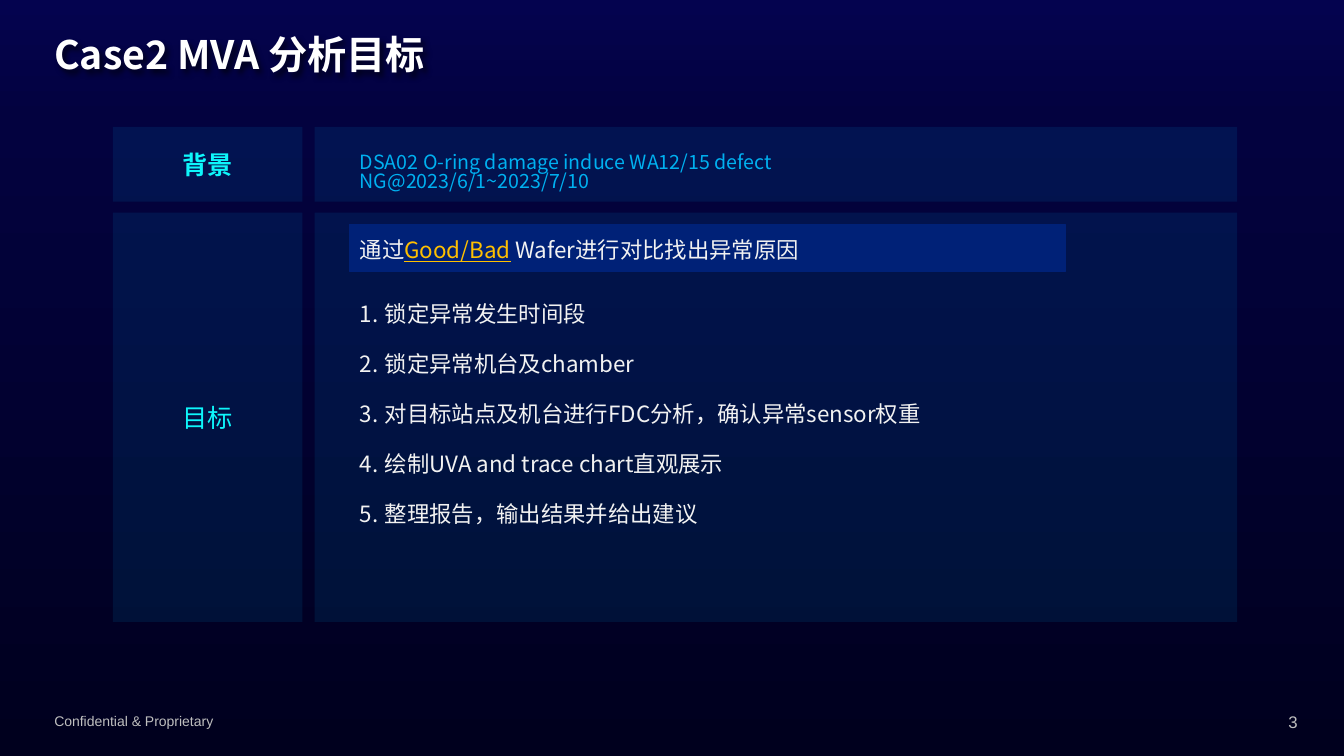
import copy
from dataclasses import dataclass

import pptx
import pptx.dml.color
import pptx.enum.shapes
import pptx.enum.text
import pptx.oxml
import pptx.oxml.ns
import pptx.shapes.autoshape
import pptx.slide
import pptx.text.text
import pptx.util

Inches = pptx.util.Inches
RGBColor = pptx.dml.color.RGBColor
Align = pptx.enum.text.PP_ALIGN
Anchor = pptx.enum.text.MSO_ANCHOR
qn = pptx.oxml.ns.qn

WHITE = RGBColor(0xFF, 0xFF, 0xFF)
PALE = RGBColor(0xF2, 0xF2, 0xF2)
GRAY = RGBColor(0xBF, 0xBF, 0xBF)
SKY = RGBColor(0x00, 0xB0, 0xF0)
CYAN = RGBColor(0x0E, 0xF6, 0xFB)
GOLD = RGBColor(0xFF, 0xC0, 0x00)
NAVY = RGBColor(0x00, 0x21, 0x77)
BACK = (
    (0, RGBColor(0x04, 0x03, 0x4F)),
    (0.16, RGBColor(0x03, 0x02, 0x3F)),
    (1, RGBColor(0x00, 0x00, 0x1E)),
)
NOTO = "Noto Sans CJK SC"
LOOSE = 1.24
TIGHT = 0.81
SHADOW = (
    f'<a:effectLst {pptx.oxml.ns.nsdecls("a")}>'
    '<a:outerShdw blurRad="50800" dist="38100" dir="2700000" algn="tl">'
    '<a:srgbClr val="000000"><a:alpha val="60000"/></a:srgbClr>'
    "</a:outerShdw></a:effectLst>"
)


@dataclass
class Box:
    left: float
    top: float
    width: float
    height: float


@dataclass
class Run:
    text: str
    color: RGBColor
    bold: bool = False
    under: bool = False


@dataclass
class Style:
    size: float
    font: str = NOTO
    align: Align = Align.LEFT
    line: float = 1.0
    after: float = 0
    anchor: Anchor = Anchor.TOP
    number: bool = False


@dataclass
class Row:
    top: float
    height: float
    label: Run


ROWS = (
    Row(1.26, 0.74, Run("背景", CYAN, bold=True)),
    Row(2.11, 4.06, Run("目标", CYAN)),
)
GOALS = (
    "锁定异常发生时间段",
    "锁定异常机台及chamber",
    "对目标站点及机台进行FDC分析，确认异常sensor权重",
    "绘制UVA and trace chart直观展示",
    "整理报告，输出结果并给出建议",
)
AIM = [
    Run("通过", PALE),
    Run("Good/Bad", GOLD, under=True),
    Run(" ", GOLD),
    Run("Wafer进行对比找出异常原因", PALE),
]
HEAD = Style(28, line=0.9, anchor=Anchor.MIDDLE)
LABEL = Style(18, align=Align.CENTER, anchor=Anchor.MIDDLE)
NOTE = Style(14, line=TIGHT)
LEAD = Style(16, align=Align.JUSTIFY, line=LOOSE, after=12)
LIST = Style(16, align=Align.JUSTIFY, line=LOOSE, after=12, number=True)
FOOT = Style(10, "Arial")
PAGE = Style(12, "Arial", Align.RIGHT)


def write(frame: pptx.text.text.TextFrame, lines: list[list[Run]], style: Style) -> None:
    frame.word_wrap = True
    frame.vertical_anchor = style.anchor
    for index, runs in enumerate(lines):
        para = frame.add_paragraph() if index else frame.paragraphs[0]
        para.alignment = style.align
        para.line_spacing = style.line
        para.space_after = pptx.util.Pt(style.after)
        if style.number:
            props = para._p.get_or_add_pPr()
            props.set("marL", str(Inches(0.25)))
            props.set("indent", str(-Inches(0.25)))
            mark = pptx.oxml.parse_xml(
                f'<a:buAutoNum {pptx.oxml.ns.nsdecls("a")} type="arabicPeriod"/>'
            )
            props.append(mark)
        for part in runs:
            run = para.add_run()
            run.text = part.text
            font = run.font
            font.name = style.font
            font.size = pptx.util.Pt(style.size)
            font.bold = part.bold
            font.underline = part.under
            font.color.rgb = part.color
            east = copy.deepcopy(run._r.rPr.find(qn("a:latin")))
            east.tag = qn("a:ea")
            run._r.rPr.find(qn("a:latin")).addnext(east)


def add_text(
    slide: pptx.slide.Slide, box: Box, lines: list[list[Run]], style: Style
) -> pptx.shapes.autoshape.Shape:
    shape = slide.shapes.add_textbox(
        Inches(box.left), Inches(box.top), Inches(box.width), Inches(box.height)
    )
    write(shape.text_frame, lines, style)
    return shape


def add_rect(
    slide: pptx.slide.Slide, box: Box, color: RGBColor, alpha: int = 100
) -> pptx.shapes.autoshape.Shape:
    shape = slide.shapes.add_shape(
        pptx.enum.shapes.MSO_SHAPE.RECTANGLE,
        Inches(box.left), Inches(box.top), Inches(box.width), Inches(box.height),
    )
    shape.shadow.inherit = False
    shape.fill.solid()
    shape.fill.fore_color.rgb = color
    if alpha < 100:
        shape.line.fill.background()
        tone = shape.element.spPr.find(qn("a:solidFill"))[0]
        tone.append(pptx.oxml.parse_xml(
            f'<a:alpha {pptx.oxml.ns.nsdecls("a")} val="{alpha * 1000}"/>'
        ))
    else:
        shape.line.color.rgb = color
        shape.line.width = pptx.util.Pt(0.75)
    return shape


def paint(slide: pptx.slide.Slide) -> None:
    fill = slide.background.fill
    fill.gradient()
    fill.gradient_angle = 270
    stops = slide.element.xpath(".//p:bg//a:gsLst")[0]
    stops.append(copy.deepcopy(stops[0]))
    for stop, (place, color) in zip(fill.gradient_stops, BACK):
        stop.position = place
        stop.color.rgb = color


def main() -> None:
    deck = pptx.Presentation()
    deck.slide_width = Inches(13.33)
    deck.slide_height = Inches(7.5)
    slide = deck.slides.add_slide(deck.slide_layouts[6])
    paint(slide)

    title = add_text(
        slide, Box(0.44, 0.3, 10.08, 0.53),
        [[Run("Case2 MVA 分析目标", WHITE, bold=True)]], HEAD,
    )
    title.element.spPr.append(pptx.oxml.parse_xml(SHADOW))

    for row in ROWS:
        add_rect(slide, Box(3.12, row.top, 9.15, row.height), SKY, 10)
        label = add_rect(slide, Box(1.12, row.top, 1.88, row.height), SKY, 10)
        write(label.text_frame, [[row.label]], LABEL)

    cause = Run("DSA02 O-ring damage induce WA12/15 defect NG@2023/6/1~2023/7/10", SKY)
    add_text(slide, Box(3.47, 1.48, 6.59, 0.34), [[cause]], NOTE)
    lead = add_rect(slide, Box(3.47, 2.23, 7.1, 0.46), NAVY)
    write(lead.text_frame, [AIM], LEAD)
    goals = [[Run(goal, PALE)] for goal in GOALS]
    add_text(slide, Box(3.47, 2.86, 7.1, 2.75), goals, LIST)

    owner = Run("Confidential & Proprietary", GRAY)
    add_text(slide, Box(0.44, 7.02, 4.5, 0.27), [[owner]], FOOT)
    add_text(slide, Box(12.47, 7.01, 0.5, 0.3), [[Run("3", GRAY)]], PAGE)
    deck.save("out.pptx")


if __name__ == "__main__":
    main()
